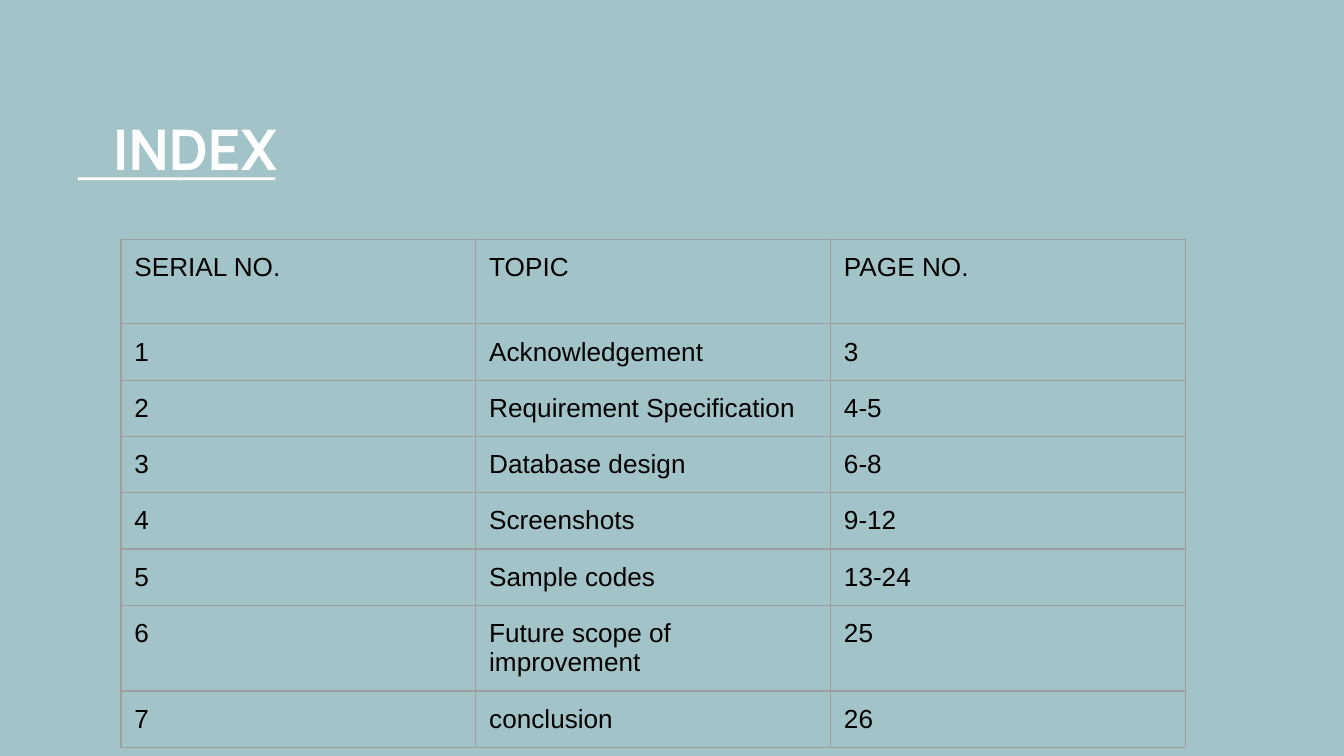
from lxml import etree
from pptx import Presentation
from pptx.dml.color import RGBColor
from pptx.enum.shapes import MSO_SHAPE
from pptx.enum.text import MSO_ANCHOR, MSO_AUTO_SIZE, PP_ALIGN
from pptx.oxml.ns import qn
from pptx.util import Inches, Pt

COLORS = {"background": "A2C4C9", "white": "FFFFFF", "text": "000000", "border": "9E9E9E"}
INSET = Inches(0.1)
INDEX_ROWS = [
    ("SERIAL NO.", "TOPIC", "PAGE NO."),
    ("1", "Acknowledgement", "3"),
    ("2", "Requirement Specification", "4-5"),
    ("3", "Database design", "6-8"),
    ("4", "Screenshots", "9-12"),
    ("5", "Sample codes", "13-24"),
    ("6", "Future scope of improvement", "25"),
    ("7", "conclusion", "26"),
]


def color(name):
    return RGBColor.from_string(COLORS[name])


def style_font(font, name, size, color_name, bold):
    font.name = name
    font.size = Pt(size)
    font.bold = bold
    font.color.rgb = color(color_name)


def set_insets(target):
    target.margin_left = target.margin_right = INSET
    target.margin_top = target.margin_bottom = INSET


def add_title(page, left, top, width, height):
    box = page.shapes.title
    box.left, box.top, box.width, box.height = left, top, width, height
    frame = box.text_frame
    frame.text = "INDEX"
    frame.word_wrap = True
    frame.auto_size = MSO_AUTO_SIZE.NONE
    frame.vertical_anchor = MSO_ANCHOR.TOP
    set_insets(frame)
    frame.margin_left = INSET + Inches(0.32)
    para = frame.paragraphs[0]
    para.alignment = PP_ALIGN.LEFT
    style_font(para.runs[0].font, "Manrope", 30, "white", True)


def add_title_rule(page, left, top, width, height):
    """Draw the rule under the title as two bars side by side."""
    bar_width = width // 2
    for index in range(2):
        bar = page.shapes.add_shape(
            MSO_SHAPE.RECTANGLE, left + index * bar_width, top, bar_width, height)
        bar.shadow.inherit = False
        bar.fill.solid()
        bar.fill.fore_color.rgb = color("white")
        bar.line.fill.background()


def add_borders(cell):
    properties = cell._tc.get_or_add_tcPr()
    for position, side in enumerate(("a:lnL", "a:lnR", "a:lnT", "a:lnB")):
        line = etree.Element(qn(side), w=str(Pt(0.75)))
        fill = etree.SubElement(line, qn("a:solidFill"))
        etree.SubElement(fill, qn("a:srgbClr"), val=COLORS["border"])
        properties.insert(position, line)


def add_index_table(page, left, top, width, header_height, row_height):
    """Add the index; its rows grow to fit their text."""
    heights = [header_height] + [row_height] * (len(INDEX_ROWS) - 1)
    columns = len(INDEX_ROWS[0])
    table = page.shapes.add_table(
        len(INDEX_ROWS), columns, left, top, width, sum(heights)).table
    table.first_row = table.horz_banding = False
    for column in table.columns:
        column.width = width // columns
    for row, height, values in zip(table.rows, heights, INDEX_ROWS):
        row.height = height
        for cell, value in zip(row.cells, values):
            cell.text = value
            cell.fill.background()
            set_insets(cell)
            add_borders(cell)
            run = cell.text_frame.paragraphs[0].runs[0]
            style_font(run.font, "Arial", 14, "text", False)


def main():
    deck = Presentation()
    deck.slide_width = Inches(10)
    deck.slide_height = deck.slide_width * 9 // 16
    page = deck.slides.add_slide(deck.slide_layouts[5])
    page.background.fill.solid()
    page.background.fill.fore_color.rgb = color("background")
    add_title_rule(page, Inches(0.58), Inches(1.32), Inches(1.47), Inches(0.02))
    add_title(page, Inches(0.42), Inches(0.75), Inches(8.65), Inches(4.99))
    add_index_table(page, Inches(0.9), Inches(1.78), Inches(7.92), Inches(0.63), Inches(0.33))
    deck.save("out.pptx")


if __name__ == "__main__":
    main()
